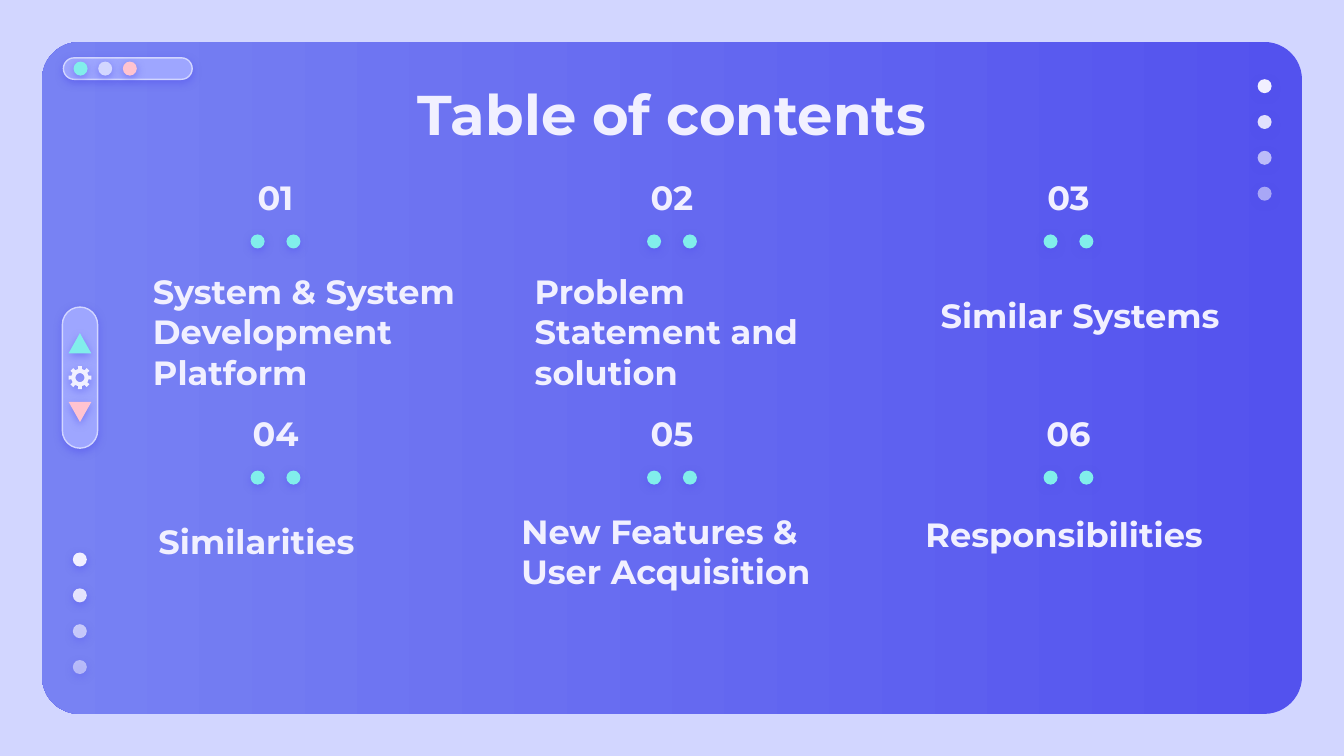
import math

from lxml import etree
from pptx import Presentation
from pptx.dml import color
from pptx.enum import shapes, text
from pptx.oxml import ns
from pptx.util import Pt

MINT, PINK, WHITE = "81EEEB", "FFC3D0", "F1F0FF"
INDIGO, VIOLET, LILAC, PALE = "5352EE", "7882F3", "9EA6FF", "D2D6FF"
DOT = 7.5
KIND = shapes.MSO_SHAPE
ALIGN = text.PP_ALIGN
ANCHOR = text.MSO_ANCHOR

# Topic, box relative to its cell, alignment
TOPICS = [
    ("System & System Development Platform", (26.3, 43.7, 191, 75.6), ALIGN.LEFT),
    ("Problem Statement and solution", (18.4, 48, 168.5, 67), ALIGN.LEFT),
    ("Similar Systems", (23.4, 53.8, 174.2, 38.2), ALIGN.LEFT),
    ("Similarities", (29.2, 52.5, 151, 30), ALIGN.LEFT),
    ("New Features & User Acquisition", (11.2, 52.5, 198, 40.3), ALIGN.LEFT),
    ("Responsibilities", (6, 54, 181.4, 19.4), ALIGN.CENTER),
]


def rgb(value):
    return color.RGBColor.from_string(value)


def add_shadow(sp):
    effects = sp.element.spPr.find(ns.qn("a:effectLst"))
    shadow = etree.SubElement(effects, ns.qn("a:outerShdw"), blurRad=str(Pt(4.5)),
                              dist=str(Pt(1.5)), dir="5400000", algn="bl",
                              rotWithShape="0")
    clr = etree.SubElement(shadow, ns.qn("a:srgbClr"), val=INDIGO)
    etree.SubElement(clr, ns.qn("a:alpha"), val="50000")


def style(sp, fill, line=None, alpha=100):
    sp.fill.solid()
    sp.fill.fore_color.rgb = rgb(fill)
    if alpha < 100:
        clr = sp.element.spPr.find(".//" + ns.qn("a:srgbClr"))
        etree.SubElement(clr, ns.qn("a:alpha"), val=str(alpha * 1000))
    if line:
        sp.line.color.rgb = rgb(line)
        sp.line.width = Pt(0.75)
    else:
        sp.line.fill.background()
    sp.shadow.inherit = False
    add_shadow(sp)


def add_shape(s, kind, box, fill, **look):
    sp = s.shapes.add_shape(kind, *map(Pt, box))
    style(sp, fill, **look)
    return sp


def add_pill(s, box):
    sp = add_shape(s, KIND.ROUNDED_RECTANGLE, box, LILAC, line=PALE)
    sp.adjustments[0] = 0.5


def write(sp, content, size=18, align=ALIGN.CENTER, anchor=ANCHOR.MIDDLE):
    tf = sp.text_frame
    tf.word_wrap = True
    tf.auto_size = text.MSO_AUTO_SIZE.NONE
    tf.vertical_anchor = anchor
    tf.margin_left = tf.margin_right = tf.margin_top = tf.margin_bottom = Pt(7.2)
    p = tf.paragraphs[0]
    p.alignment = align
    r = p.add_run()
    r.text = content
    r.font.name = "Montserrat"
    r.font.size = Pt(size)
    r.font.bold = True
    r.font.color.rgb = rgb(WHITE)


def add_panel(s, box):
    sp = s.shapes.add_shape(KIND.ROUNDED_RECTANGLE, *map(Pt, box))
    sp.adjustments[0] = 0.056
    sp.fill.gradient()
    sp.fill.gradient_angle = 180
    for stop, (position, value) in zip(sp.fill.gradient_stops, [(0, INDIGO), (1, VIOLET)]):
        stop.position = position
        stop.color.rgb = rgb(value)
    sp.line.fill.background()
    sp.shadow.inherit = False


def add_title(s, box):
    title = s.shapes.title
    title.left, title.top, title.width, title.height = map(Pt, box)
    write(title, "Table of contents", size=30, anchor=ANCHOR.TOP)
    title.element.getparent().append(title.element)  # in front of the panel


def add_window_bar(s, x, y, w, h):
    add_pill(s, (x, y, w, h))
    for i, fill in enumerate([MINT, PALE, PINK]):
        add_shape(s, KIND.OVAL, (x + 5.4 + 13.2 * i, y + (h - DOT) / 2, DOT, DOT), fill)


def add_fading_dots(s, x, y):
    for i, alpha in enumerate([100, 90, 67, 54]):
        add_shape(s, KIND.OVAL, (x, y + 19.2 * i, DOT, DOT), WHITE, alpha=alpha)


def add_gear(s, cx, cy, outer=6.2, root=4.7, hole=2.4):
    def at(degrees, radius):
        angle = math.radians(degrees)
        return Pt(cx + radius * math.cos(angle)), Pt(cy + radius * math.sin(angle))

    tooth = [(-12, root), (-10, outer), (10, outer), (12, root)]
    rim = [at(45 * i + turn, radius) for i in range(8) for turn, radius in tooth]
    ring = [at(-15 * i, hole) for i in range(24)]
    builder = s.shapes.build_freeform(*rim[0])
    builder.add_line_segments(rim[1:], close=True)
    builder.move_to(*ring[0])
    builder.add_line_segments(ring[1:], close=True)
    style(builder.convert_to_shape(), WHITE)


def add_toolbar(s, x, y, w, h):
    add_pill(s, (x, y, w, h))
    cx, cy = x + w / 2, y + h / 2
    tri_w, tri_h = 12.2, 10.8
    for offset, fill, turn in [(-18.4, MINT, 0), (18.4, PINK, 180)]:
        box = (cx - tri_w / 2, cy + offset - tri_h / 2, tri_w, tri_h)
        add_shape(s, KIND.ISOSCELES_TRIANGLE, box, fill).rotation = turn
    add_gear(s, cx, cy)


def add_topic(s, x, y, w, number, topic, box, align):
    cx = x + w / 2
    label = s.shapes.add_textbox(Pt(cx - 34.5), Pt(y), Pt(69), Pt(19.4))
    write(label, f"{number:02}")
    for side in (-1, 1):
        add_shape(s, KIND.OVAL, (cx + 9.6 * side - DOT / 2, y + 29.6, DOT, DOT), MINT)
    dx, dy, width, height = box
    body = s.shapes.add_textbox(Pt(x + dx), Pt(y + dy), Pt(width), Pt(height))
    write(body, topic, align=align)


def add_contents_slide(prs):
    s = prs.slides.add_slide(prs.slide_layouts[5])
    s.background.fill.solid()
    s.background.fill.fore_color.rgb = rgb(PALE)
    add_panel(s, (22.5, 22.5, 675, 360))
    add_window_bar(s, 34, 31, 69, 11.5)
    add_fading_dots(s, 673.7, 42.4)
    add_fading_dots(s, 39, 296)
    add_title(s, (56.7, 35.3, 606.6, 45.4))
    for i, (topic, box, align) in enumerate(TOPICS):
        row, col = divmod(i, 3)
        add_topic(s, 48.6 + 212.4 * col, 96 + 126.5 * row, 198, i + 1, topic, box, align)
    add_toolbar(s, 33.4, 164.5, 18.9, 75.6)


def main():
    prs = Presentation()
    prs.slide_width, prs.slide_height = Pt(720), Pt(405)
    add_contents_slide(prs)
    prs.save("out.pptx")


if __name__ == "__main__":
    main()
